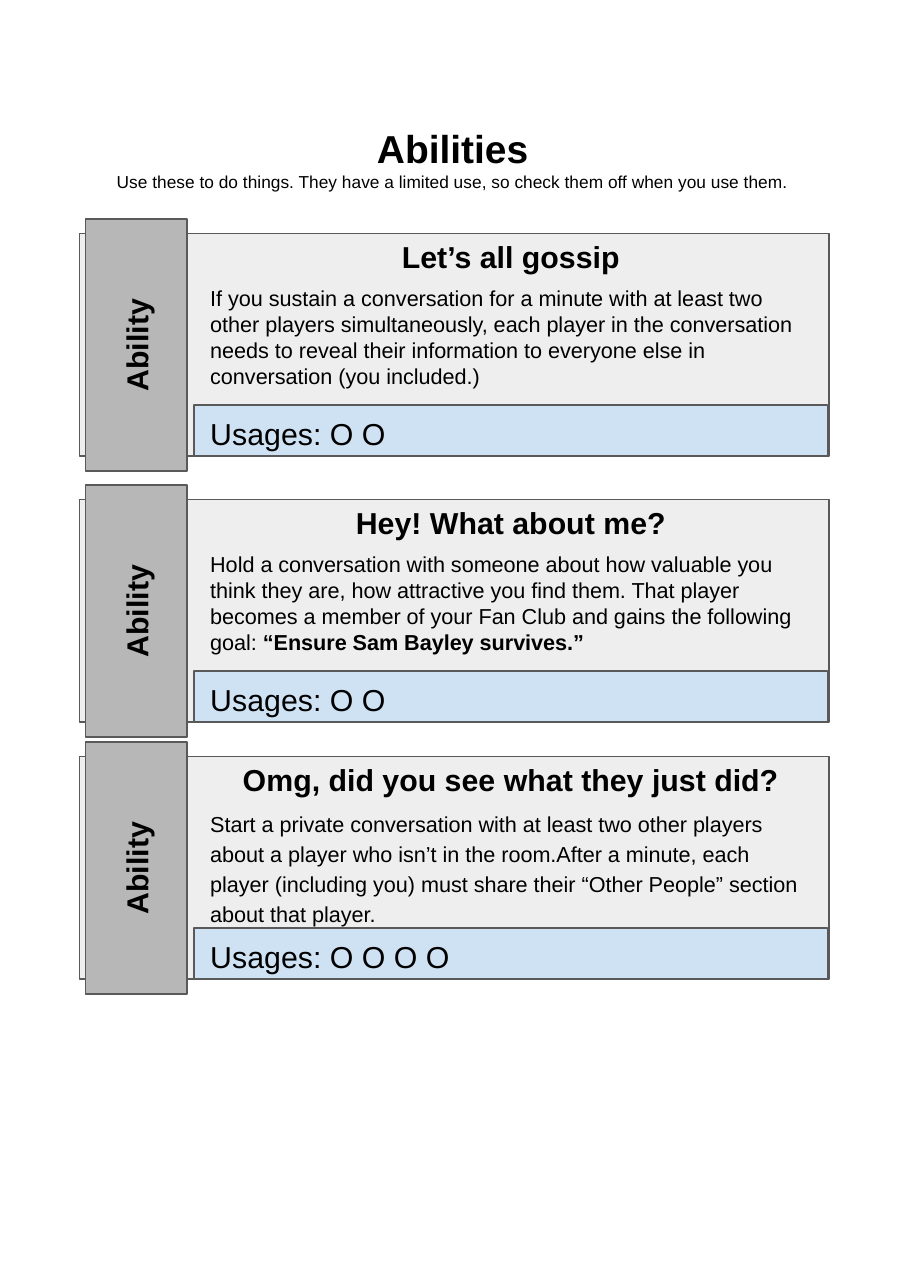
from pptx import Presentation
from pptx.dml.color import RGBColor
from pptx.enum.shapes import MSO_SHAPE as Preset
from pptx.enum.text import MSO_ANCHOR as Anchor, PP_ALIGN as Align
from pptx.util import Cm, Pt

ABILITIES = [
    (3.81, "Let’s all gossip", [
        ("If you sustain a conversation for a minute with at least two other players "
         "simultaneously, each player in the conversation needs to reveal their information "
         "to everyone else in conversation (you included.)", False),
    ], 1.0, 2),
    (8.15, "Hey! What about me?", [
        ("Hold a conversation with someone about how valuable you think they are, how "
         "attractive you find them. That player becomes a member of your Fan Club and gains "
         "the following goal:", False),
        (" “Ensure Sam Bayley survives.”", True),
    ], 1.0, 2),
    (12.34, "Omg, did you see what they just did?", [
        ("Start a private conversation with at least two other players about a player who "
         "isn’t in the room.After a minute, each player (including you) must share their "
         "“Other People” section about that player.", False),
    ], 1.15, 4),
]


def color(value):
    return RGBColor.from_string(value)


class AbilitySheet:
    font = "Arial"
    ink = "000000"
    outline = "595959"
    card_fill = "EEEEEE"
    tab_fill = "B7B7B7"
    usage_fill = "CFE2F3"
    inset = Cm(0.25)

    def __init__(self, slide):
        self.slide = slide

    def paragraph(self, paragraph, runs, size, align=Align.LEFT, spacing=1.0):
        paragraph.alignment = align
        paragraph.line_spacing = spacing
        for text, bold in runs:
            run = paragraph.add_run()
            run.text = text
            run.font.name = self.font
            run.font.size = Pt(size)
            run.font.bold = bold
            run.font.color.rgb = color(self.ink)

    def frame(self, shape, anchor=Anchor.TOP):
        frame = shape.text_frame
        frame.word_wrap = True
        frame.vertical_anchor = anchor
        frame.margin_left = frame.margin_right = self.inset
        frame.margin_top = frame.margin_bottom = self.inset
        return frame

    def text(self, parent, box, runs, size, align=Align.LEFT, spacing=1.0):
        shape = parent.shapes.add_textbox(*map(Cm, box))
        frame = self.frame(shape)
        self.paragraph(frame.paragraphs[0], runs, size, align, spacing)
        return frame

    def panel(self, parent, preset, box, fill, rotation=0):
        shape = parent.shapes.add_shape(preset, *map(Cm, box))
        shape.rotation = rotation
        shape.shadow.inherit = False
        for index in range(len(shape.adjustments)):
            shape.adjustments[index] = 0
        shape.fill.solid()
        shape.fill.fore_color.rgb = color(fill)
        shape.line.color.rgb = color(self.outline)
        shape.line.width = Pt(0.75)
        return shape

    def heading(self, title, subtitle):
        frame = self.text(self.slide, (0.58, 1.78, 13.61, 2.31), [(title, True)], 18, Align.CENTER)
        self.paragraph(frame.add_paragraph(), [(subtitle, False)], 8, Align.CENTER)

    def ability(self, top, title, body, spacing, uses):
        group = self.slide.shapes.add_group_shape()
        self.panel(group, Preset.ROUNDED_RECTANGLE, (1.3, top, 12.22, 3.63), self.card_fill)
        tab = self.panel(group, Preset.ROUND_2_SAME_RECTANGLE,
                         (0.17, top + 0.99, 4.11, 1.66), self.tab_fill, 270)
        frame = self.frame(tab, Anchor.MIDDLE)
        self.paragraph(frame.paragraphs[0], [("Ability", True)], 14, Align.CENTER)
        self.text(group, (3.18, top - 0.18, 10.31, 1.07), [(title, True)], 14, Align.CENTER)
        self.text(group, (3.18, top + 0.58, 10.31, 1.17), body, 10, spacing=spacing)
        self.panel(group, Preset.ROUND_1_RECTANGLE,
                   (7.92, top - 1.96, 0.82, 10.34), self.usage_fill, 90)
        usages = "Usages: " + " ".join("O" * uses)
        self.text(group, (3.18, top + 2.72, 10.11, 1.07), [(usages, False)], 14)


def main():
    presentation = Presentation()
    presentation.slide_width = Cm(14.81)
    presentation.slide_height = Cm(21.01)
    slide = presentation.slides.add_slide(presentation.slide_layouts[6])
    sheet = AbilitySheet(slide)
    sheet.heading("Abilities", "Use these to do things. They have a limited use, "
                  "so check them off when you use them.")
    for ability in ABILITIES:
        sheet.ability(*ability)
    presentation.save("out.pptx")


if __name__ == "__main__":
    main()
